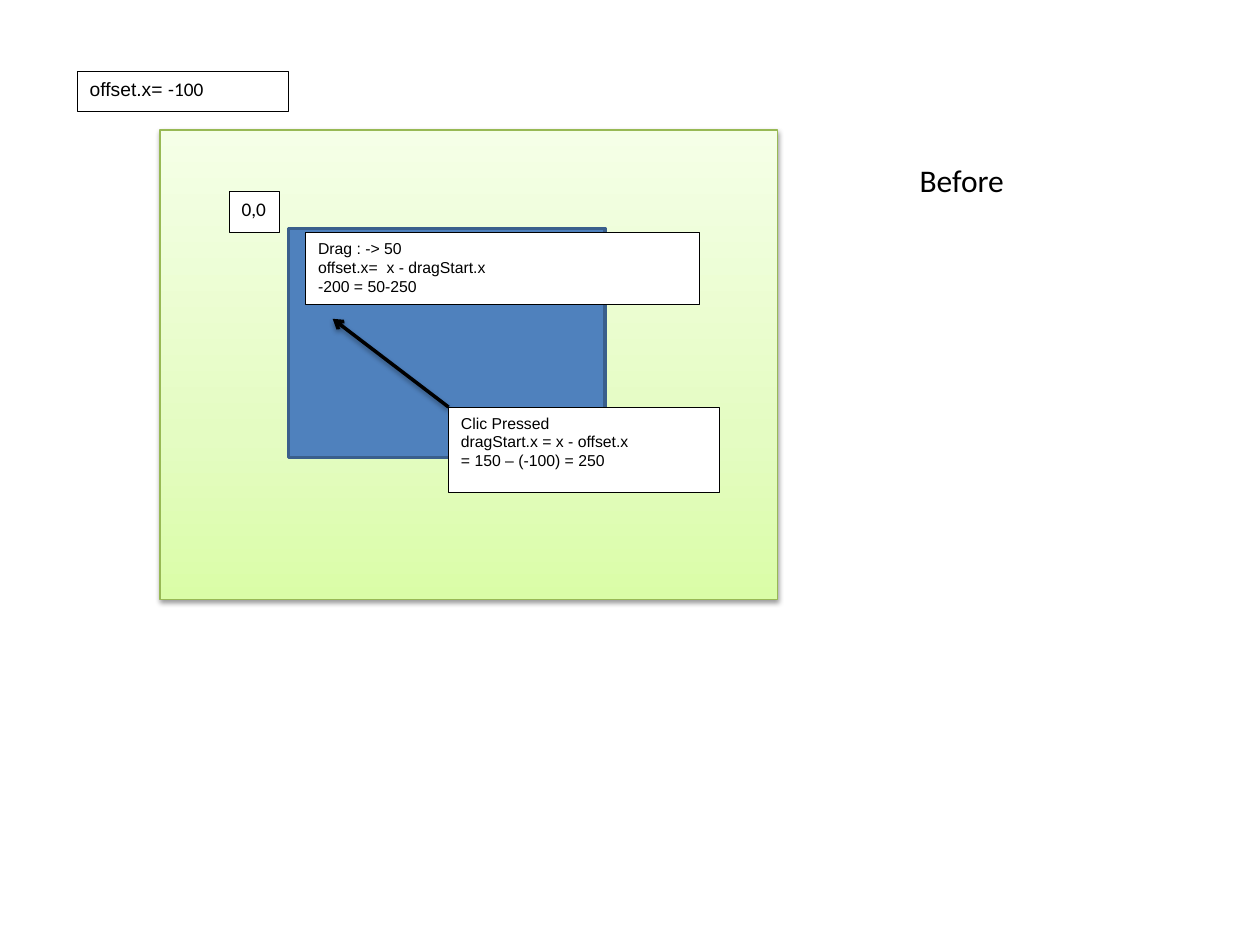
"""Build a slide showing how a drag gesture changes the horizontal offset."""
from dataclasses import dataclass

import pptx
import pptx.dml.color
import pptx.enum.dml
import pptx.enum.shapes
import pptx.oxml
import pptx.oxml.ns
import pptx.util

Pt = pptx.util.Pt
qn = pptx.oxml.ns.qn
NAMESPACE = pptx.oxml.ns.nsdecls("a")


@dataclass(frozen=True)
class Theme:
    ink: str = "000000"
    paper: str = "FFFFFF"
    canvas_line: str = "98B955"
    canvas_stops: tuple[tuple[int, str], ...] = (
        (0, "DAFDA7"), (35, "E4FCC2"), (100, "F5FFE7"))
    view: str = "4F81BD"
    view_line: str = "3A5F8C"
    note_size: float = 9
    label_size: float = 11
    title_size: float = 18
    sans: str = "Arial"
    body: str = "Calibri"


THEME = Theme()


@dataclass(frozen=True)
class Frame:
    left: float
    top: float
    width: float
    height: float


@dataclass(frozen=True)
class Span:
    text: str
    font: str


@dataclass(frozen=True)
class Label:
    frame: Frame
    lines: tuple[tuple[Span, ...], ...]
    size: float
    wrap: bool = False
    boxed: bool = True


def note(frame: Frame, *lines: str) -> Label:
    return Label(frame, tuple((Span(line, THEME.sans),) for line in lines),
                 THEME.note_size, wrap=True)


CANVAS = Frame(91.5, 74.25, 352.8, 268.5)
VIEW = Frame(165, 130.5, 180.75, 131)
PRESS = Frame(256.3, 232.6, 154.8, 49)
DRAG_END = (190.1, 182.2)

LABELS = (
    Label(Frame(131, 109.4, 28.8, 23.6), ((Span("0,0", THEME.body),),), THEME.label_size),
    note(PRESS, "Clic Pressed ", "dragStart.x = x - offset.x ", "= 150 – (-100) = 250"),
    note(Frame(174.7, 133, 224.8, 41), "Drag\u00a0: -> 50",
         "offset.x=  x - dragStart.x ", "-200 = 50-250"),
    Label(Frame(44.1, 40.8, 120.9, 22.8),
          ((Span("offset.x= ", THEME.sans), Span("-100", THEME.body)),), THEME.label_size),
    Label(Frame(518.4, 88.6, 63.4, 29), ((Span("Before", THEME.body),),),
          THEME.title_size, boxed=False),
)


def rgb(value: str) -> pptx.dml.color.RGBColor:
    return pptx.dml.color.RGBColor.from_string(value)


def bounds(frame: Frame) -> tuple[int, int, int, int]:
    return Pt(frame.left), Pt(frame.top), Pt(frame.width), Pt(frame.height)


def set_line(item, color: str, width: float) -> None:
    item.line.color.rgb = rgb(color)
    item.line.width = Pt(width)


def add_shadow(item) -> None:
    properties = item._element.spPr
    for effects in properties.findall(qn("a:effectLst")):
        properties.remove(effects)
    properties.append(pptx.oxml.parse_xml(
        f'<a:effectLst {NAMESPACE}><a:outerShdw blurRad="{Pt(3.1)}" dist="{Pt(1.6)}" '
        f'dir="5400000" rotWithShape="0"><a:srgbClr val="{THEME.ink}">'
        '<a:alpha val="38000"/></a:srgbClr></a:outerShdw></a:effectLst>'))


def add_rectangle(page, frame: Frame, line: str, width: float):
    shape = page.shapes.add_shape(
        pptx.enum.shapes.MSO_SHAPE.RECTANGLE, *bounds(frame))
    shape.shadow.inherit = False
    set_line(shape, line, width)
    return shape


def add_canvas(page) -> None:
    shape = add_rectangle(page, CANVAS, THEME.canvas_line, 0.75)
    shape.fill.gradient()
    shape.fill.gradient_angle = 90
    stops = shape._element.spPr.find(qn("a:gradFill")).find(qn("a:gsLst"))
    for stop in list(stops):
        stops.remove(stop)
    for position, color in THEME.canvas_stops:
        stops.append(pptx.oxml.parse_xml(
            f'<a:gs {NAMESPACE} pos="{position * 1000}"><a:srgbClr val="{color}"/></a:gs>'))
    add_shadow(shape)


def add_view(page) -> None:
    shape = add_rectangle(page, VIEW, THEME.view_line, 2)
    shape.fill.solid()
    shape.fill.fore_color.rgb = rgb(THEME.view)


def add_drag_arrow(page) -> None:
    arrow = page.shapes.add_connector(
        pptx.enum.shapes.MSO_CONNECTOR.STRAIGHT,
        Pt(PRESS.left), Pt(PRESS.top), *(Pt(value) for value in DRAG_END))
    set_line(arrow, THEME.ink, 2)
    arrow.line._get_or_add_ln().append(
        pptx.oxml.parse_xml(f'<a:tailEnd {NAMESPACE} type="arrow"/>'))
    add_shadow(arrow)


def add_label(page, label: Label) -> None:
    box = page.shapes.add_textbox(*bounds(label.frame))
    if label.boxed:
        box.fill.solid()
        box.fill.fore_color.rgb = rgb(THEME.paper)
        set_line(box, THEME.ink, 0.5)
    box.text_frame.word_wrap = label.wrap
    box.text_frame.text = "\n".join(
        "".join(span.text for span in line) for line in label.lines)
    for para, line in zip(box.text_frame.paragraphs, label.lines):
        para.text = line[0].text
        for span in line[1:]:
            para.add_run().text = span.text
        for run, span in zip(para.runs, line):
            run.font.name = span.font
            run.font.size = Pt(label.size)
            run.font.color.rgb = rgb(THEME.ink)


def main() -> None:
    deck = pptx.Presentation()
    deck.slide_width, deck.slide_height = Pt(720), Pt(540)
    page = deck.slides.add_slide(deck.slide_layouts[6])
    add_canvas(page)
    add_view(page)
    origin, *others = LABELS
    add_label(page, origin)
    add_drag_arrow(page)
    for label in others:
        add_label(page, label)
    deck.save("out.pptx")


main()
